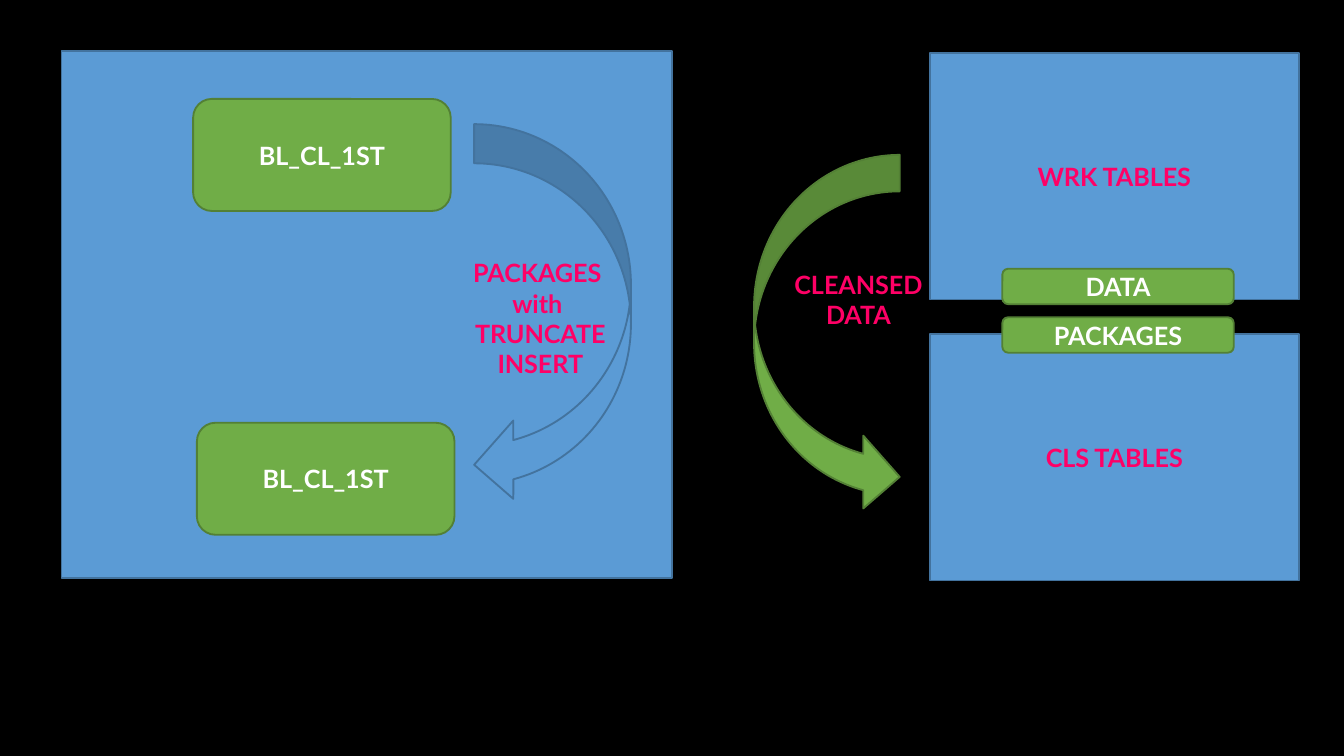
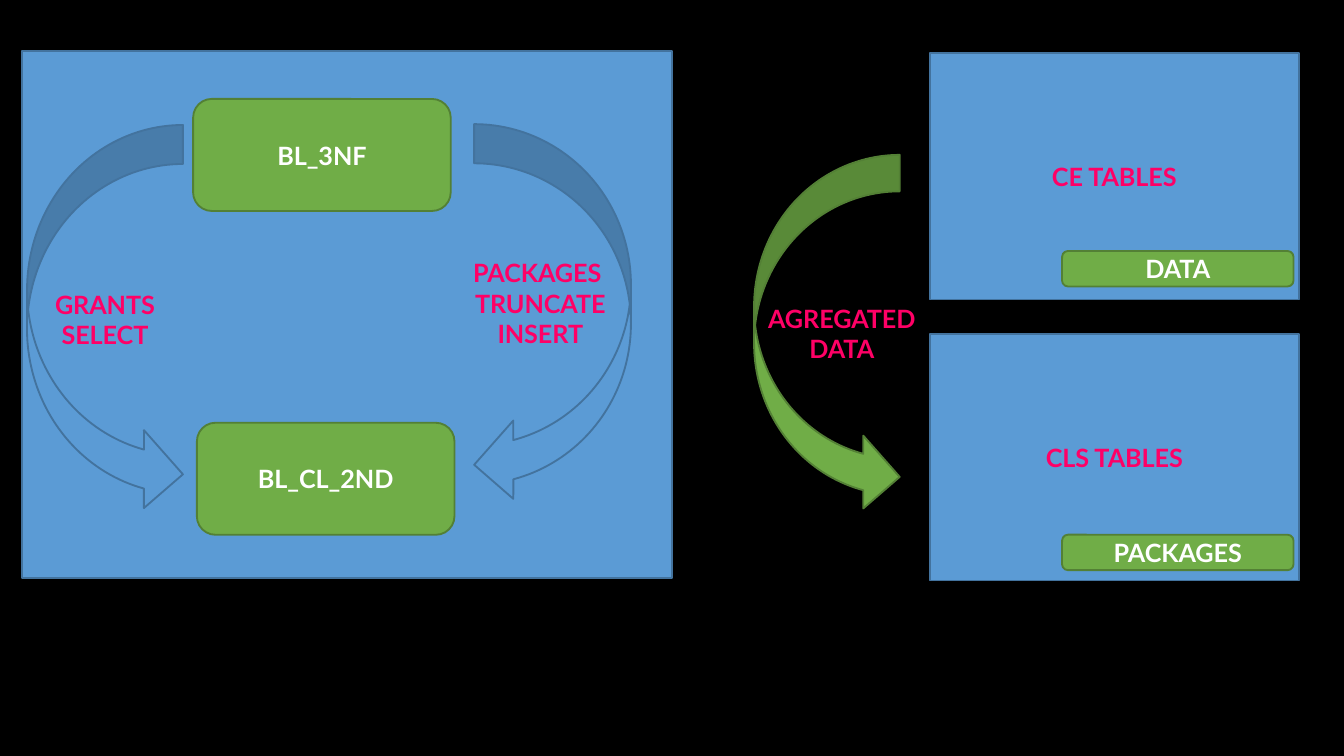
"""Build two slides that show how data moves between warehouse layers."""
from dataclasses import dataclass

from pptx import Presentation
from pptx.dml.color import RGBColor
from pptx.enum.shapes import MSO_SHAPE
from pptx.enum.text import MSO_ANCHOR, MSO_AUTO_SIZE, PP_ALIGN
from pptx.presentation import Presentation as Deck
from pptx.slide import Slide
from pptx.text.text import TextFrame
from pptx.util import Pt

RECTANGLE = MSO_SHAPE.RECTANGLE
ROUNDED = MSO_SHAPE.ROUNDED_RECTANGLE
ARROW_LEFT = MSO_SHAPE.CURVED_LEFT_ARROW
ARROW_RIGHT = MSO_SHAPE.CURVED_RIGHT_ARROW
CENTER = PP_ALIGN.CENTER
LEFT = PP_ALIGN.LEFT
MIDDLE = MSO_ANCHOR.MIDDLE
GROW = MSO_AUTO_SIZE.SHAPE_TO_FIT_TEXT


@dataclass(frozen=True)
class Paint:
    fill: RGBColor
    line: RGBColor


@dataclass(frozen=True)
class Theme:
    background: RGBColor = RGBColor(0x00, 0x00, 0x00)
    blue: Paint = Paint(RGBColor(0x5B, 0x9B, 0xD5), RGBColor(0x43, 0x73, 0x9E))
    green: Paint = Paint(RGBColor(0x70, 0xAD, 0x47), RGBColor(0x53, 0x80, 0x35))
    accent: RGBColor = RGBColor(0xFF, 0x00, 0x66)
    light: RGBColor = RGBColor(0xFF, 0xFF, 0xFF)
    font: str = "Lato"
    text_size: float = 13.5
    line_width: float = 1


THEME = Theme()


@dataclass(frozen=True)
class Box:
    left: float
    top: float
    width: float
    height: float

    def lengths(self) -> tuple[Pt, Pt, Pt, Pt]:
        """Return the box as lengths in points."""
        return Pt(self.left), Pt(self.top), Pt(self.width), Pt(self.height)


@dataclass(frozen=True)
class Block:
    kind: MSO_SHAPE
    box: Box
    paint: Paint
    text: str = ""
    color: RGBColor = THEME.light


@dataclass(frozen=True)
class Label:
    box: Box
    text: str
    first_align: PP_ALIGN = CENTER


@dataclass(frozen=True)
class Flow:
    area_left: float
    source_schema: str
    target_schema: str
    source_tables: str
    transfer: Label
    load: Label
    data_at: tuple[float, float]
    packages_at: tuple[float, float]
    grants: str = ""


AREA_RIGHT, AREA_TOP, AREA_HEIGHT = 360, 27.5, 282
SOURCE_BOX = Box(103.5, 53, 138, 60)
TARGET_BOX = Box(105.5, 226.5, 138, 60)
LOAD_ARROW = Box(254, 66.5, 84, 203.5)
TRANSFER_ARROW = Box(404, 83, 78, 192)
GRANTS_ARROW = Box(14.5, 67, 83.5, 208)
SOURCE_TABLES = Box(498, 28.5, 198, 132)
TARGET_TABLES = Box(498, 179, 198, 132)
TAG_SIZE = (124, 19)

FLOWS = (
    Flow(
        33, "BL_CL_1ST", "BL_CL_1ST", "WRK TABLES",
        Label(Box(418.5, 140.5, 84, 40), "CLEANSED\nDATA", LEFT),
        Label(Box(244, 134.5, 91, 89), "PACKAGES \vwith \vTRUNCATE\vINSERT"),
        (537, 144), (537, 170),
    ),
    Flow(
        12, "BL_3NF", "BL_CL_2ND", "CE TABLES",
        Label(Box(404, 159, 94, 40), "AGREGATED\vDATA"),
        Label(Box(244, 134.5, 91, 73), "PACKAGES \vTRUNCATE\vINSERT"),
        (569, 134.5), (569, 286.5), "GRANTS\vSELECT",
    ),
)


def write(frame: TextFrame, text: str, color: RGBColor, first_align: PP_ALIGN = CENTER) -> None:
    """Fill a frame with bold paragraphs, centred after the first."""
    for index, line in enumerate(text.split("\n")):
        paragraph = frame.add_paragraph() if index else frame.paragraphs[0]
        paragraph.text = line
        paragraph.alignment = CENTER if index else first_align
        paragraph.font.name = THEME.font
        paragraph.font.size = Pt(THEME.text_size)
        paragraph.font.bold = True
        paragraph.font.color.rgb = color


def draw_block(slide: Slide, block: Block) -> None:
    """Draw a filled shape with its centred text."""
    shape = slide.shapes.add_shape(block.kind, *block.box.lengths())
    shape.shadow.inherit = False
    shape.fill.solid()
    shape.fill.fore_color.rgb = block.paint.fill
    shape.line.color.rgb = block.paint.line
    shape.line.width = Pt(THEME.line_width)
    if block.text:
        shape.text_frame.vertical_anchor = MIDDLE
        write(shape.text_frame, block.text, block.color)


def draw_label(slide: Slide, label: Label) -> None:
    """Draw accent text that sizes its own box."""
    frame = slide.shapes.add_textbox(*label.box.lengths()).text_frame
    frame.word_wrap = False
    frame.auto_size = GROW
    write(frame, label.text, THEME.accent, label.first_align)


def flow_parts(flow: Flow) -> list[Block | Label]:
    """List the parts of a flow from back to front."""
    area = Box(flow.area_left, AREA_TOP, AREA_RIGHT - flow.area_left, AREA_HEIGHT)
    parts = [
        Block(RECTANGLE, area, THEME.blue),
        Block(ROUNDED, SOURCE_BOX, THEME.green, flow.source_schema),
        Block(ARROW_LEFT, LOAD_ARROW, THEME.blue),
        Block(RECTANGLE, SOURCE_TABLES, THEME.blue, flow.source_tables, THEME.accent),
        Block(RECTANGLE, TARGET_TABLES, THEME.blue, "CLS TABLES", THEME.accent),
        Block(ARROW_RIGHT, TRANSFER_ARROW, THEME.green),
        flow.transfer,
        Block(ROUNDED, TARGET_BOX, THEME.green, flow.target_schema),
        flow.load,
        Block(ROUNDED, Box(*flow.data_at, *TAG_SIZE), THEME.green, "DATA"),
        Block(ROUNDED, Box(*flow.packages_at, *TAG_SIZE), THEME.green, "PACKAGES"),
    ]
    if flow.grants:
        parts.append(Block(ARROW_RIGHT, GRANTS_ARROW, THEME.blue, flow.grants, THEME.accent))
    return parts


def add_flow_slide(deck: Deck, flow: Flow) -> None:
    """Add one slide for a flow."""
    slide = deck.slides.add_slide(deck.slide_layouts[6])
    slide.background.fill.solid()
    slide.background.fill.fore_color.rgb = THEME.background
    for part in flow_parts(flow):
        if isinstance(part, Label):
            draw_label(slide, part)
        else:
            draw_block(slide, part)


def main() -> None:
    """Build and save the deck."""
    deck = Presentation()
    deck.slide_width, deck.slide_height = Pt(720), Pt(405)
    for flow in FLOWS:
        add_flow_slide(deck, flow)
    deck.save("out.pptx")


if __name__ == "__main__":
    main()
